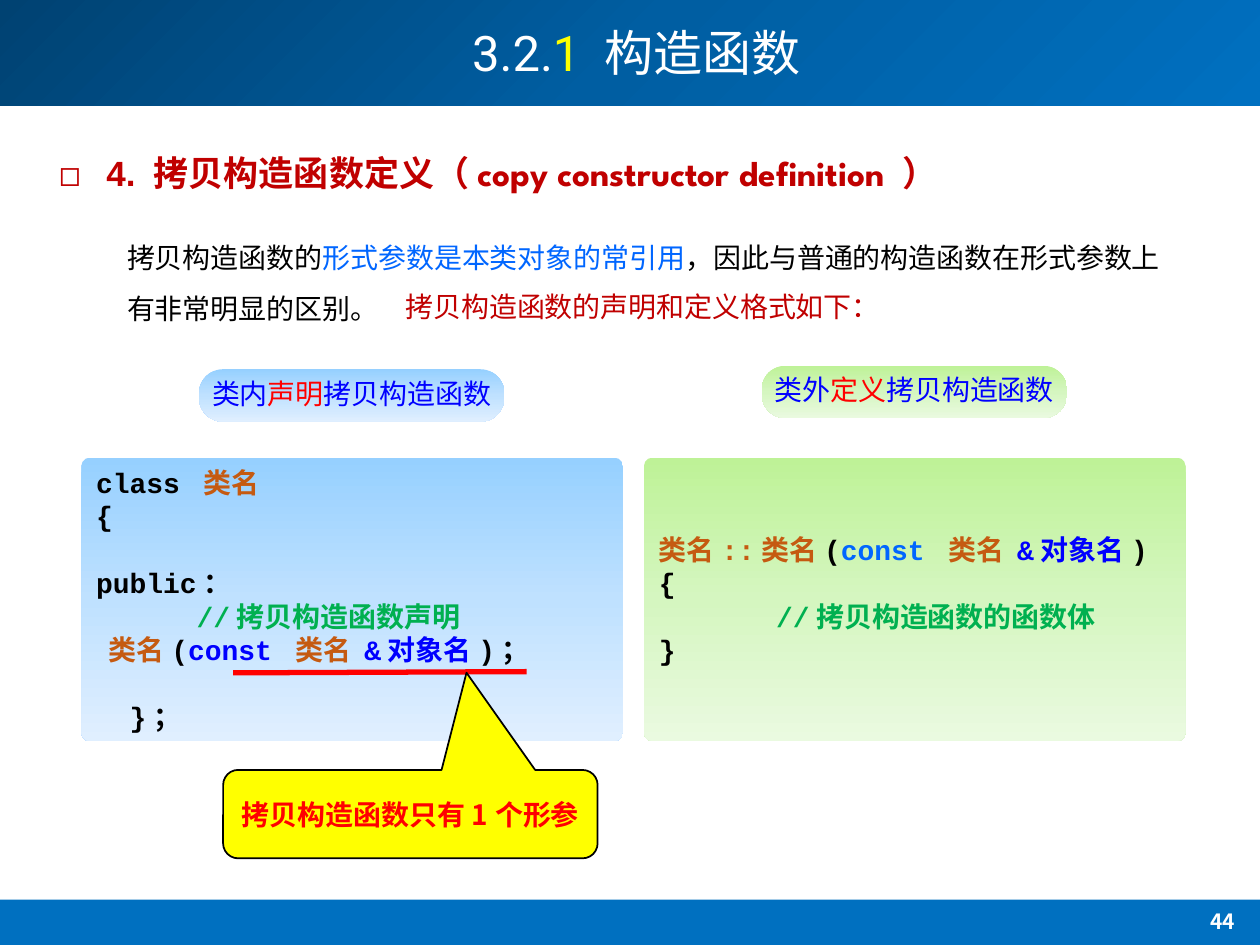
from copy import deepcopy
from lxml import etree
from pptx import Presentation
from pptx.dml.color import RGBColor
from pptx.enum.shapes import MSO_CONNECTOR, MSO_SHAPE as SHAPE
from pptx.enum.text import MSO_ANCHOR as ANCHOR, PP_ALIGN as ALIGN
from pptx.oxml.ns import qn
from pptx.util import Pt

WHITE = RGBColor(0xFF, 0xFF, 0xFF)
BLACK = RGBColor(0x00, 0x00, 0x00)
RED = RGBColor(0xFF, 0x00, 0x00)
YELLOW = RGBColor(0xFF, 0xFF, 0x00)
BLUE = RGBColor(0x00, 0x00, 0xFF)
SKY = RGBColor(0x00, 0x66, 0xFF)
DARK_RED = RGBColor(0xC0, 0x00, 0x00)
BROWN = RGBColor(0xC5, 0x5A, 0x11)
GREEN = RGBColor(0x00, 0xB0, 0x50)
BAR = RGBColor(0x00, 0x70, 0xC0)
BAR_GRAD = [RGBColor(0x00, 0x42, 0x72), RGBColor(0x00, 0x5E, 0xA2), BAR]
BLUE_GRAD = [RGBColor(0x96, 0xD0, 0xFF), RGBColor(0xBF, 0xE1, 0xFF), RGBColor(0xE0, 0xEF, 0xFF)]
GREEN_GRAD = [RGBColor(0xBE, 0xF2, 0x97), RGBColor(0xD5, 0xF6, 0xC0), RGBColor(0xEA, 0xFA, 0xE0)]
CJK, MONO = "Noto Sans CJK SC", "Courier New"


def add_box(kind, left, top, width, height, colors, angle=270):
    sp = s.shapes.add_shape(kind, Pt(left), Pt(top), Pt(width), Pt(height))
    sp.shadow.inherit = False
    sp.line.fill.background()
    if len(colors) == 1:
        sp.fill.solid()
        sp.fill.fore_color.rgb = colors[0]
        return sp
    sp.fill.gradient()
    sp.fill.gradient_angle = angle
    stops = sp._element.spPr.find(".//" + qn("a:gsLst"))
    stops.insert(1, deepcopy(stops[0]))
    for stop, color, pos in zip(sp.fill.gradient_stops, colors, (0, 0.5, 1)):
        stop.color.rgb = color
        stop.position = pos
    return sp


def write(p, runs, size=16, font=CJK, bold=False, align=ALIGN.LEFT):
    p.alignment = align
    for text, color, *own in runs:
        r = p.add_run()
        r.text = text
        r.font.size, r.font.bold = Pt(size), bold
        r.font.color.rgb = color
        r.font.name = own[0] if own else font
        etree.SubElement(r._r.get_or_add_rPr(), qn("a:ea"), typeface=CJK)


prs = Presentation()
prs.slide_width, prs.slide_height = Pt(720), Pt(540)
s = prs.slides.add_slide(prs.slide_layouts[1])
title, body = s.shapes.title, s.placeholders[1]

add_box(SHAPE.RECTANGLE, 0, 0, 720, 60.5, BAR_GRAD, 315)
add_box(SHAPE.RECTANGLE, 0, 514, 720, 26, [BAR])
s.shapes._spTree.extend([title._element, body._element])

title.left, title.top, title.width, title.height = Pt(61), Pt(0), Pt(605), Pt(64)
title.text_frame.vertical_anchor = ANCHOR.MIDDLE
p = title.text_frame.paragraphs[0]
p.line_spacing = 0.9
write(p, [("3.2.", WHITE), ("1 ", YELLOW), ("构造函数", WHITE, CJK)], 28, "Roboto", align=ALIGN.CENTER)

body.left, body.top, body.width, body.height = Pt(26.6), Pt(82.8), Pt(563), Pt(31.5)
p = body.text_frame.paragraphs[0]
pPr = p._p.get_or_add_pPr()
pPr.set("marL", str(Pt(27)))
pPr.set("indent", str(Pt(-27)))
etree.SubElement(pPr, qn("a:buFont"), typeface=CJK)
etree.SubElement(pPr, qn("a:buChar"), char="◻")
p.space_before = Pt(0)
write(p, [("4. 拷贝构造函数定义（", DARK_RED), ("copy constructor definition ", DARK_RED, "League Spartan"),
          ("）", DARK_RED)], 20, "Arial", True)

texts = [
    (65.5, 124.5, 605, 65.5, True, 1.5, ALIGN.LEFT, 16, "Arial", False,
     [("拷贝构造函数的", BLACK), ("形式参数是本类对象的常引用", SKY),
      ("，因此与普通的构造函数在形式参数上有非常明显的区别。", BLACK)]),
    (224.6, 162, 289.5, 26.6, False, 1, ALIGN.LEFT, 16, "Calibri", False,
     [("拷贝构造函数的声明和定义格式如下：", DARK_RED)]),
    (664.5, 515.5, 68.5, 26, True, 1, ALIGN.CENTER, 12, CJK, True, [("44", WHITE)]),
]
for left, top, width, height, wrap, spacing, align, size, font, bold, runs in texts:
    tf = s.shapes.add_textbox(Pt(left), Pt(top), Pt(width), Pt(height)).text_frame
    tf.word_wrap = wrap
    p = tf.paragraphs[0]
    p.line_spacing = spacing
    write(p, runs, size, font, bold, align)

declaration = [
    (0, [("class ", BLACK), ("类名", BROWN)]),
    (0, [("{", BLACK)]),
    (19, [("public：", BLACK)]),
    (0, [("      //拷贝构造函数声明", GREEN)]),
    (0, [("  类名", BROWN), ("(", BLACK), ("const ", BLUE), ("类名 ", BROWN), ("&对象名", BLUE), (")；", BLACK)]),
    (19, [("  }；", BLACK)]),
]
definition = [
    (0, [("类名::类名", BROWN), ("(", BLACK), ("const ", SKY), ("类名 ", BROWN), ("&对象名", BLUE), (")", BLACK)]),
    (0, [("{", BLACK)]),
    (0, [("       //拷贝构造函数的函数体", GREEN)]),
    (0, [("}", BLACK)]),
]
panels = [
    (46.5, 211, BLUE_GRAD, "类内", "声明", declaration),
    (368, 209, GREEN_GRAD, "类外", "定义", definition),
]
for left, top, grad, place, action, code in panels:
    sp = add_box(SHAPE.ROUNDED_RECTANGLE, left + 67.25, top, 174.5, 30, grad)
    sp.adjustments[0] = 0.46
    tf = sp.text_frame
    tf.word_wrap = False
    tf.vertical_anchor = ANCHOR.TOP
    tf.margin_left = tf.margin_right = tf.margin_top = Pt(0)
    write(tf.paragraphs[0], [(place, BLUE), (action, RED), ("拷贝构造函数", BLUE)], align=ALIGN.CENTER)

    sp = add_box(SHAPE.ROUNDED_RECTANGLE, left, 261.5, 309.5, 162, grad)
    sp.adjustments[0] = 0.03
    tf = sp.text_frame
    tf.vertical_anchor = ANCHOR.MIDDLE
    for i, (gap, runs) in enumerate(code):
        p = tf.add_paragraph() if i else tf.paragraphs[0]
        p.space_before = Pt(gap)
        write(p, runs, font=MONO, bold=True)

ln = s.shapes.add_connector(MSO_CONNECTOR.STRAIGHT, Pt(133.2), Pt(384.5), Pt(301), Pt(383.8))
ln.line.color.rgb = RED
ln.line.width = Pt(3)
etree.SubElement(ln._element.spPr, qn("a:effectLst"))

sp = add_box(SHAPE.ROUNDED_RECTANGULAR_CALLOUT, 127.5, 440, 214, 50.5, [YELLOW])
for i, value in enumerate((0.15, -1.6, 0.17)):
    sp.adjustments[i] = value
sp.line.color.rgb = BLACK
sp.line.width = Pt(1)
tf = sp.text_frame
tf.vertical_anchor = ANCHOR.MIDDLE
write(tf.paragraphs[0], [("拷贝构造函数只有1个形参", RED)], bold=True, align=ALIGN.CENTER)

prs.save("out.pptx")
